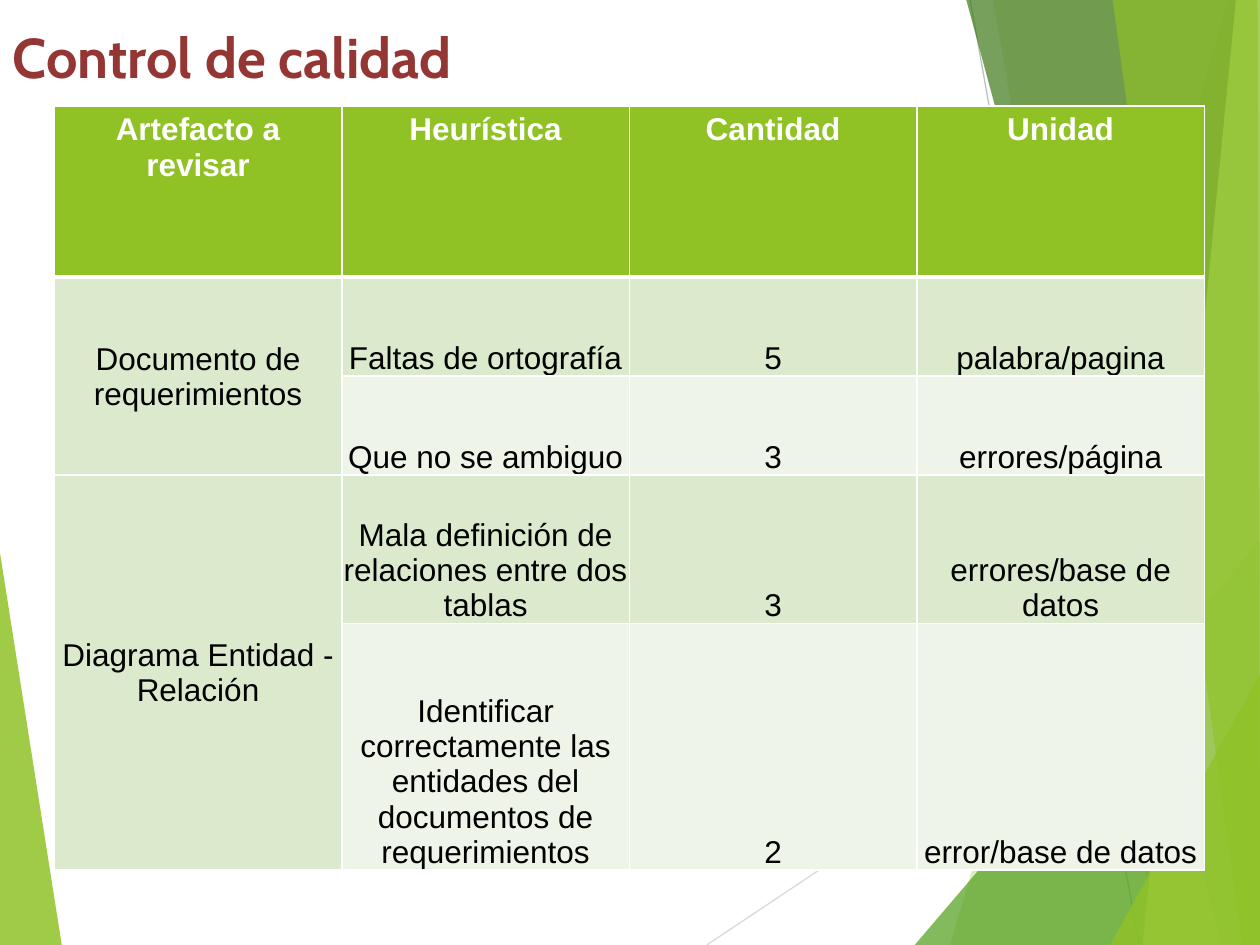
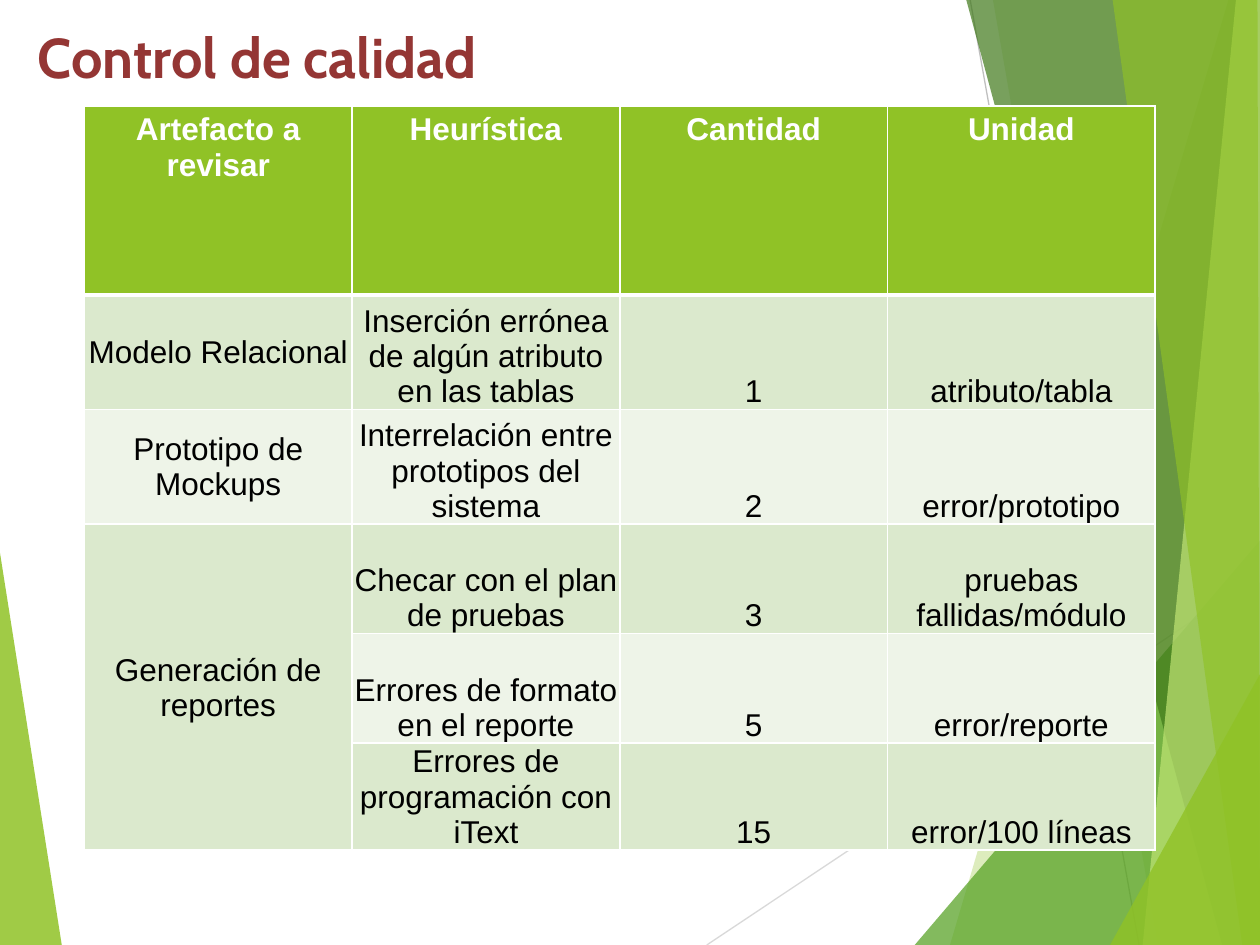
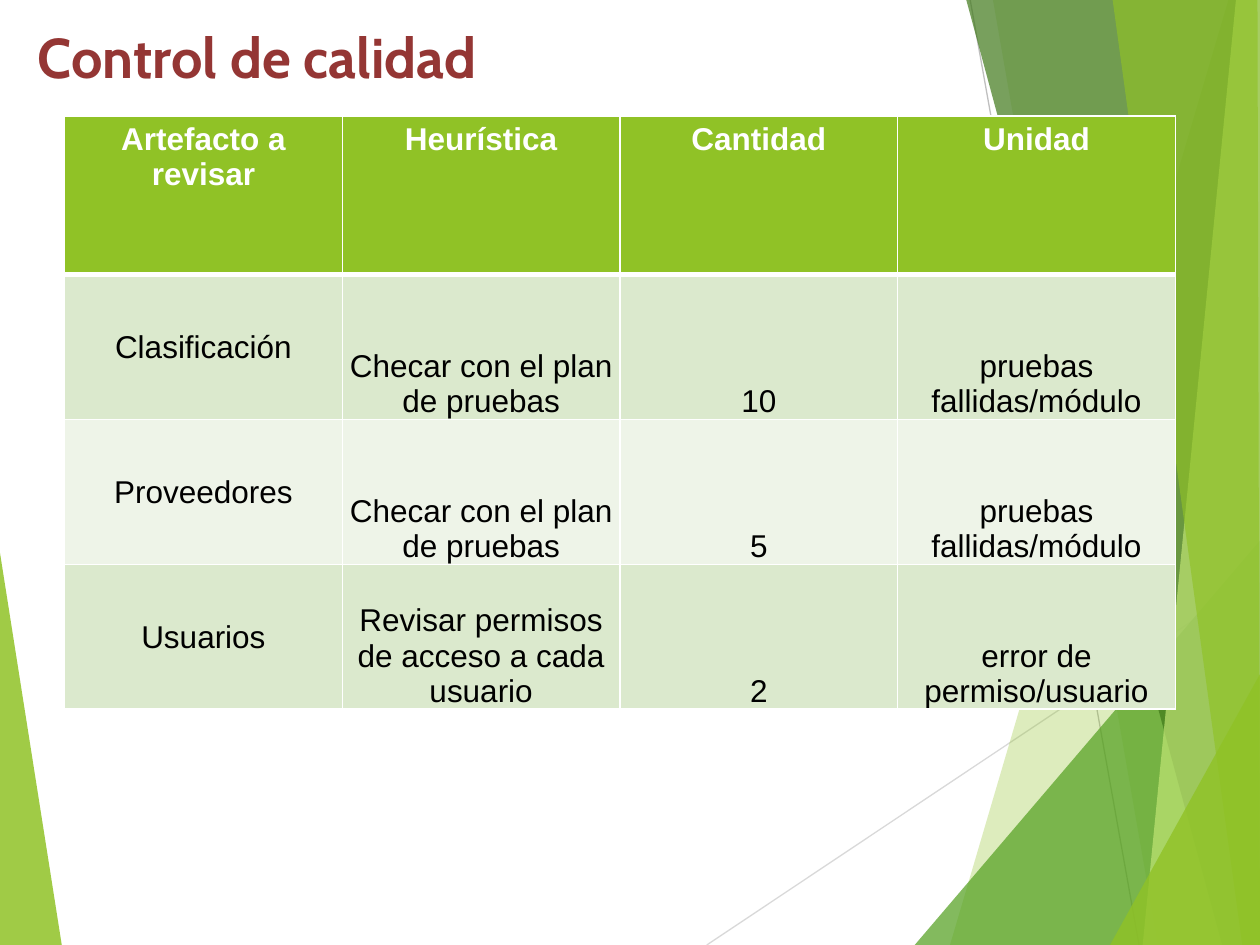
from pptx import Presentation
from pptx.dml.color import RGBColor
from pptx.enum import shapes as sh, text as tx
from pptx.oxml import parse_xml
from pptx.oxml.ns import nsdecls, qn
from pptx.util import Pt
from lxml import etree

PAGE_W, PAGE_H = 720, 540
GREEN = RGBColor(0x90, 0xC2, 0x26)
LEAF = RGBColor(0x54, 0xA0, 0x21)
FOREST = RGBColor(0x3F, 0x78, 0x19)
LIME = RGBColor(0xC0, 0xE4, 0x74)
ROW_DARK = RGBColor(0xDB, 0xE9, 0xCD)
ROW_LIGHT = RGBColor(0xEE, 0xF4, 0xE8)
RAY_LIGHT = RGBColor(0xD9, 0xD9, 0xD9)
RAY_DARK = RGBColor(0xBF, 0xBF, 0xBF)
MAROON = RGBColor(0x94, 0x36, 0x34)
WHITE = RGBColor(0xFF, 0xFF, 0xFF)
BLACK = RGBColor(0, 0, 0)

BOTTOM_RIGHT, TOP_RIGHT = (PAGE_W, PAGE_H), (PAGE_W, 0)

# Decoration shared by all slides: outline, colour, opacity in percent
LEFT_WEDGE = ([(0, 316), (35.3, PAGE_H), (0, PAGE_H)], GREEN, 85)
RAYS = [
    ((403.9, PAGE_H), (PAGE_W, 329), RAY_LIGHT),
    ((554.4, 0), (650.9, PAGE_H), RAY_DARK),
]
RIGHT_BANDS = [
    ([(702, 0), (542.9, PAGE_H), BOTTOM_RIGHT, TOP_RIGHT], GREEN, 30),
    ([(567.4, 0), (661.7, PAGE_H), BOTTOM_RIGHT, TOP_RIGHT], GREEN, 20),
    ([(522.7, PAGE_H), (PAGE_W, 308.9), BOTTOM_RIGHT], LEAF, 72),
    ([(552.2, 0), (698.4, PAGE_H), BOTTOM_RIGHT, TOP_RIGHT], FOREST, 70),
    ([(706.3, 0), (653, PAGE_H), BOTTOM_RIGHT, TOP_RIGHT], LIME, 70),
    ([(635.8, 0), (709.9, PAGE_H), BOTTOM_RIGHT, (718.6, 0)], GREEN, 65),
    ([(634.3, PAGE_H), (PAGE_W, 385.2), BOTTOM_RIGHT], GREEN, 80),
]

TITLE = "Control de calidad"
HEADINGS = ["Artefacto a revisar", "Heurística", "Cantidad", "Unidad"]

# None in the first column continues the artefact above
REVIEWS = [
    dict(title_left=0, title_width=720, left=31, top=60.5, column=164.3,
         heights=[97.9, 56.6, 56.6, 84.7, 141],
         rows=[
             ["Documento de requerimientos", "Faltas de ortografía", "5", "palabra/pagina"],
             [None, "Que no se ambiguo", "3", "errores/página"],
             ["Diagrama Entidad - Relación", "Mala definición de relaciones entre dos tablas",
              "3", "errores/base de datos"],
             [None, "Identificar correctamente las entidades del documentos de requerimientos",
              "2", "error/base de datos"],
         ]),
    dict(title_left=14.4, title_width=663, left=48.2, top=60.5, column=153,
         heights=[108, 65.5, 65.5, 62.6, 62.6, 60.5],
         rows=[
             ["Modelo Relacional", "Inserción errónea de algún atributo en las tablas",
              "1", "atributo/tabla"],
             ["Prototipo de Mockups", "Interrelación entre prototipos del sistema",
              "2", "error/prototipo"],
             ["Generación de reportes", "Checar con el plan de pruebas",
              "3", "pruebas fallidas/módulo"],
             [None, "Errores de formato en el reporte", "5", "error/reporte"],
             [None, "Errores de programación con iText", "15", "error/100 líneas"],
         ]),
    dict(title_left=14.4, title_width=663, left=36.9, top=66.2, column=158.7,
         heights=[90.7, 82.8, 82.8, 82.8],
         rows=[
             ["Clasificación", "Checar con el plan de pruebas", "10", "pruebas fallidas/módulo"],
             ["Proveedores", "Checar con el plan de pruebas", "5", "pruebas fallidas/módulo"],
             ["Usuarios", "Revisar permisos de acceso a cada usuario",
              "2", "error de permiso/usuario"],
         ]),
]


def write(frame, text, size=18, font="Arial", color=BLACK, bold=False,
          align=tx.PP_ALIGN.CENTER):
    paragraph = frame.paragraphs[0]
    paragraph.alignment = align
    run = paragraph.add_run()
    run.text = text
    run.font.size, run.font.name, run.font.bold = Pt(size), font, bold
    run.font.color.rgb = color


def add_band(slide, outline, color, opacity):
    points = [(Pt(x), Pt(y)) for x, y in outline]
    builder = slide.shapes.build_freeform(*points[0], scale=1.0)
    builder.add_line_segments(points[1:], close=True)
    band = builder.convert_to_shape()
    band.shadow.inherit = False
    band.line.fill.background()
    band.fill.solid()
    band.fill.fore_color.rgb = color
    tint = band.element.spPr.find(qn("a:solidFill"))[0]
    etree.SubElement(tint, qn("a:alpha"), val=str(opacity * 1000))
    return band


def add_ray(slide, start, end, color):
    ray = slide.shapes.add_connector(
        sh.MSO_CONNECTOR.STRAIGHT, *[Pt(v) for v in start + end])
    ray.line.color.rgb = color
    ray.line.width = Pt(0.75)
    etree.SubElement(ray.element.spPr, qn("a:effectLst"))
    return ray


def decorate_layout(layout, slide):
    """Build the decoration on a slide, then move it to the shared layout."""
    for placeholder in list(layout.placeholders):
        if placeholder.placeholder_format.type != sh.PP_PLACEHOLDER.TITLE:
            layout.shapes.element.remove(placeholder.element)
    decoration = [add_band(slide, *LEFT_WEDGE)]
    decoration += [add_ray(slide, *ray) for ray in RAYS]
    decoration += [add_band(slide, *band) for band in RIGHT_BANDS]
    for part in decoration:
        layout.shapes.element.append(part.element)


def add_title(slide, left, width):
    title = slide.shapes.title
    title.left, title.top = Pt(left), Pt(9.4)
    title.width, title.height = Pt(width), Pt(62)
    title.text_frame.auto_size = tx.MSO_AUTO_SIZE.NONE
    title.text_frame.vertical_anchor = tx.MSO_ANCHOR.TOP
    write(title.text_frame, TITLE, size=32, font="Cabin", color=MAROON, bold=True,
          align=tx.PP_ALIGN.LEFT)


def set_borders(cell, top, bottom):
    properties = cell._tc.get_or_add_tcPr()
    for side, weight in (("L", 1), ("R", 1), ("T", top), ("B", bottom)):
        properties.append(parse_xml(
            f'<a:ln{side} {nsdecls("a")} w="{Pt(weight)}"><a:solidFill>'
            f'<a:srgbClr val="{WHITE}"/></a:solidFill></a:ln{side}>'))


def format_cell(cell, row, column):
    set_borders(cell, top=3 if row == 1 else 1, bottom=3 if row == 0 else 1)
    cell.fill.solid()
    if row == 0:
        cell.fill.fore_color.rgb = GREEN
        return
    cell.fill.fore_color.rgb = ROW_DARK if row % 2 else ROW_LIGHT
    cell.margin_left = cell.margin_right = cell.margin_top = Pt(0.72)
    cell.margin_bottom = 0
    cell.vertical_anchor = tx.MSO_ANCHOR.BOTTOM if column else tx.MSO_ANCHOR.MIDDLE


def add_review_table(slide, left, top, column, heights, rows):
    content = [HEADINGS] + rows
    table = slide.shapes.add_table(
        len(content), len(HEADINGS), Pt(left), Pt(top),
        Pt(column * len(HEADINGS)), Pt(sum(heights))).table
    for table_column in table.columns:
        table_column.width = Pt(column)
    for table_row, height in zip(table.rows, heights):
        table_row.height = Pt(height)

    artefact_row = 0
    for r, texts in enumerate(content):
        for c, text in enumerate(texts):
            cell = table.cell(r, c)
            format_cell(cell, r, c)
            if text is not None:
                write(cell.text_frame, text, color=BLACK if r else WHITE, bold=r == 0)
        # Join the artefact cell once its last row is reached
        if texts[0] is not None:
            artefact_row = r
        is_last = r + 1 == len(content) or content[r + 1][0] is not None
        if is_last and r > artefact_row:
            table.cell(artefact_row, 0).merge(table.cell(r, 0))


def main():
    deck = Presentation()
    deck.slide_width, deck.slide_height = Pt(PAGE_W), Pt(PAGE_H)
    layout = deck.slide_layouts[5]
    for number, review in enumerate(REVIEWS):
        slide = deck.slides.add_slide(layout)
        if number == 0:
            decorate_layout(layout, slide)
        add_title(slide, review["title_left"], review["title_width"])
        add_review_table(slide, review["left"], review["top"], review["column"],
                         review["heights"], review["rows"])
    deck.save("out.pptx")


if __name__ == "__main__":
    main()
